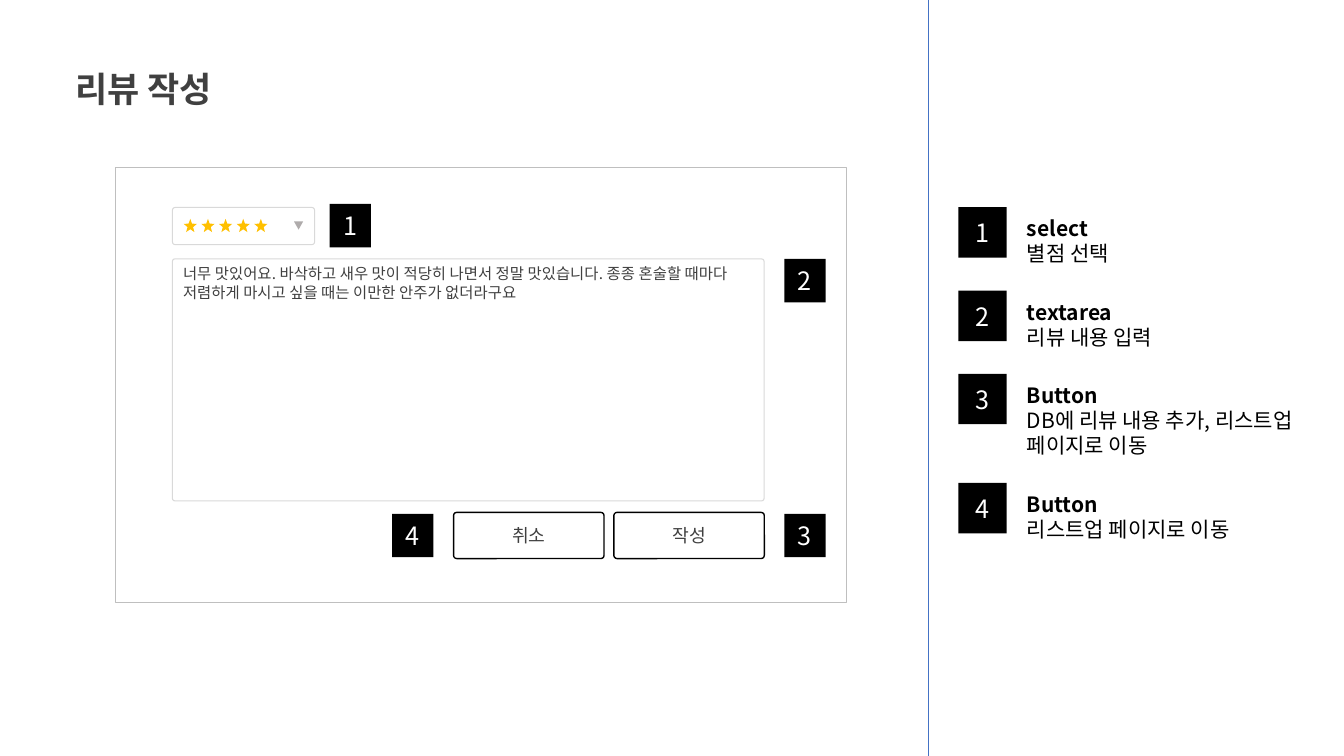
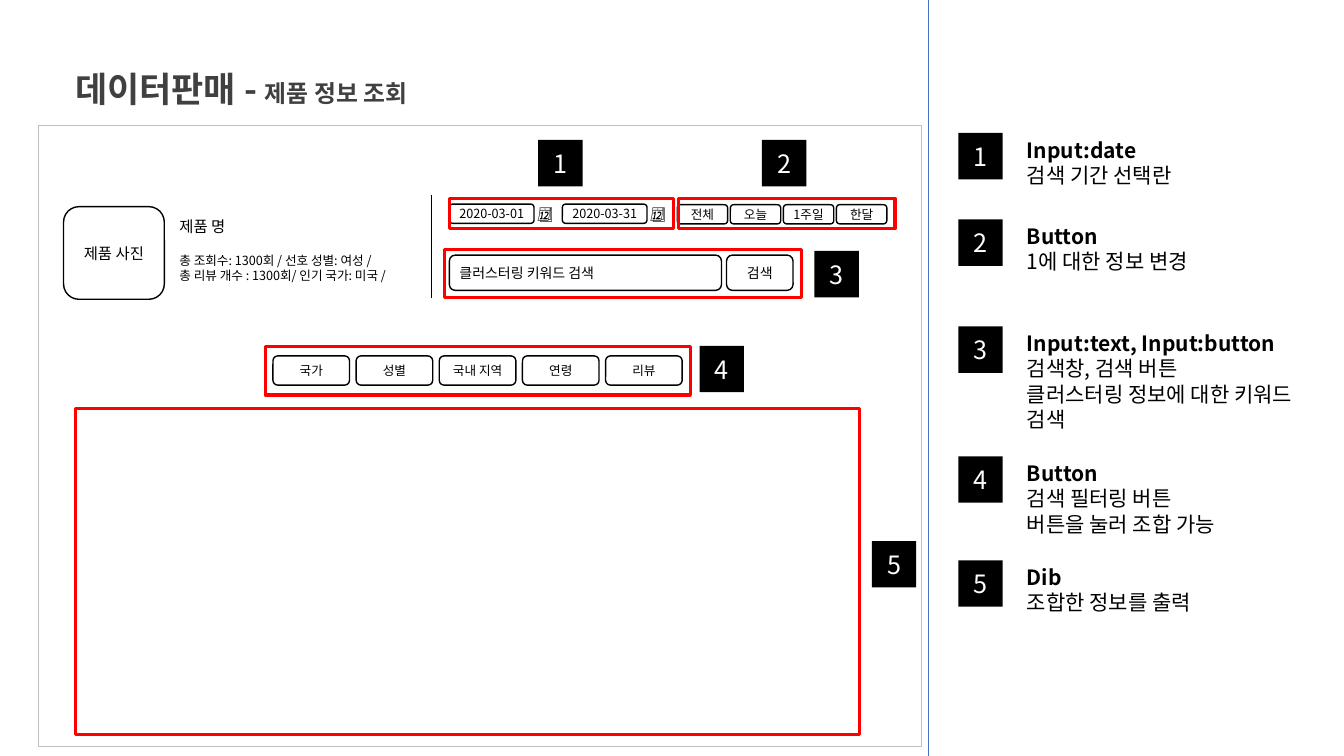
from dataclasses import dataclass
from typing import Optional

from lxml.etree import SubElement
from pptx import Presentation
from pptx.dml.color import RGBColor
from pptx.enum.shapes import MSO_CONNECTOR, MSO_SHAPE
from pptx.enum.text import MSO_ANCHOR, MSO_AUTO_SIZE, PP_ALIGN
from pptx.oxml.ns import qn
from pptx.util import Pt

# Shared look
FONT = "Noto Sans CJK KR"
HUES = {
    "white": "FFFFFF", "black": "000000", "text": "404040", "frame": "BFBFBF",
    "field": "D9D9D9", "star": "FFC000", "arrow": "AFABAB",
    "rule": "4472C4", "mark": "FF0000",
}
WIDTH, HEIGHT = 960, 540
RECT, ROUND = MSO_SHAPE.RECTANGLE, MSO_SHAPE.ROUNDED_RECTANGLE
LEFT, MID = PP_ALIGN.LEFT, PP_ALIGN.CENTER


@dataclass(frozen=True)
class Box:
    x: float
    y: float
    w: float
    h: float

    def args(self) -> list:
        return [Pt(v) for v in (self.x, self.y, self.w, self.h)]


@dataclass(frozen=True)
class Run:
    text: str
    size: float
    hue: str = "black"
    bold: bool = False


@dataclass(frozen=True)
class Look:
    kind: int = RECT
    fill: Optional[str] = None
    line: Optional[str] = None
    wide: float = 1
    bend: Optional[float] = None
    turn: float = 0


@dataclass(frozen=True)
class Note:
    num: int
    y: float
    head: str
    lines: tuple
    w: float = 210


@dataclass(frozen=True)
class Badge:
    num: int
    x: float
    y: float


PANEL = Look(fill="white", line="frame")
FIELD = Look(ROUND, "white", "field", 0.75, 0.07)
AREA = Look(ROUND, "white", "field", 0.75, 0.01)
BUTTON = Look(ROUND, "white", "black", 1, 0.07)
PILL = Look(ROUND, line="black")
MARK = Look(line="mark", wide=2.25)
STAR = Look(MSO_SHAPE.STAR_5_POINT, "star", bend=0.21)
ARROW = Look(MSO_SHAPE.ISOSCELES_TRIANGLE, "arrow", turn=180)
BLOCK = Look(fill="black")


def color(name: str) -> RGBColor:
    return RGBColor.from_string(HUES[name])


def write(frame, rows: list, form: dict) -> None:
    """Fill a text frame; each row is a list of runs."""
    form = {"word_wrap": True, **form}
    side = form.pop("align", LEFT)
    for key, val in form.items():
        setattr(frame, key, val)
    for i, row in enumerate(rows):
        para = frame.add_paragraph() if i else frame.paragraphs[0]
        para.alignment = side
        for item in row:
            run = para.add_run()
            run.text = item.text
            run.font.color.rgb = color(item.hue)
            face = {"size": Pt(item.size), "bold": item.bold, "name": FONT}
            for key, val in face.items():
                setattr(run.font, key, val)
            # East Asian typeface
            SubElement(run.font._element, qn("a:ea"), typeface=FONT)


def draw(slide, box: Box, look: Look, rows: Optional[list] = None, **form):
    shape = slide.shapes.add_shape(look.kind, *box.args())
    shape.shadow.inherit = False
    shape.rotation = look.turn
    if look.fill:
        shape.fill.solid()
        shape.fill.fore_color.rgb = color(look.fill)
    else:
        shape.fill.background()
    if look.line:
        shape.line.color.rgb = color(look.line)
        shape.line.width = Pt(look.wide)
    else:
        shape.line.fill.background()
    if look.bend is not None:
        shape.adjustments[0] = look.bend
    if rows:
        base = {"align": MID, "vertical_anchor": MSO_ANCHOR.MIDDLE}
        write(shape.text_frame, rows, {**base, **form})


def label(slide, box: Box, rows: list, **form) -> None:
    frame = slide.shapes.add_textbox(*box.args()).text_frame
    write(frame, rows, {"auto_size": MSO_AUTO_SIZE.SHAPE_TO_FIT_TEXT, **form})


def rule(slide, x: float, top: float, end: float, hue: str, wide: float) -> None:
    line = slide.shapes.add_connector(
        MSO_CONNECTOR.STRAIGHT, Pt(x), Pt(top), Pt(x), Pt(end))
    line.line.color.rgb = color(hue)
    line.line.width = Pt(wide)
    SubElement(line._element.spPr, qn("a:effectLst"))


def pill(slide, box: Box, text: str, size: float, align=MID, pad: float = 0) -> None:
    draw(slide, box, PILL, [[Run(text, size)]], align=align,
         margin_left=Pt(pad), margin_right=0, margin_top=0, margin_bottom=0)


def badge(slide, num: int, box: Box) -> None:
    draw(slide, box, BLOCK, [[Run(str(num), 18, "white")]])


def tag(slide, marks: list, w: float, h: float) -> None:
    for mark in marks:
        badge(slide, mark.num, Box(mark.x, mark.y, w, h))


def legend(slide, notes: list, w: float, h: float, drop: float) -> None:
    for note in notes:
        badge(slide, note.num, Box(684.5, note.y, w, h))
        rows = [[Run(note.head, 15, bold=True)]]
        rows += [[Run(text, 15)] for text in note.lines]
        label(slide, Box(726.5, note.y + drop, note.w, 25 + 18 * len(note.lines)), rows)


def start(deck, panel: Box, title: list, w: float):
    """Add a page with its panel, title and side rule."""
    slide = deck.slides.add_slide(deck.slide_layouts[6])
    draw(slide, panel, PANEL)
    label(slide, Box(46.8, 44.5, w, 37.5), [title], word_wrap=False)
    rule(slide, 663, 0, HEIGHT, "rule", 0.5)
    return slide


def review(deck) -> None:
    slide = start(deck, Box(82.5, 119.5, 522, 311),
                  [Run("리뷰 작성", 25, "text", True)], 124.5)

    # Review form
    text = ("너무 맛있어요. 바삭하고 새우 맛이 적당히 나면서 정말 맛있습니다. "
            "종종 혼술할 때마다 저렴하게 마시고 싶을 때는 이만한 안주가 없더라구요")
    draw(slide, Box(123.2, 185, 422.6, 172.8), AREA, [[Run(text, 11, "text")]],
         align=LEFT, vertical_anchor=MSO_ANCHOR.TOP)
    for x, name in ((324, "취소"), (438.5, "작성")):
        draw(slide, Box(x, 366, 107.5, 33), BUTTON, [[Run(name, 13, "text")]])

    # Star rating
    draw(slide, Box(123.2, 148.2, 101.5, 26.5), FIELD)
    for i in range(5):
        draw(slide, Box(131.2 + 12.6 * i, 156.3, 9.5, 9.5), STAR)
    draw(slide, Box(210, 158.2, 6.5, 5.8), ARROW)

    # Numbers and notes
    tag(slide, [Badge(1, 235.5, 145.7), Badge(2, 560.2, 185),
                Badge(3, 560.2, 367), Badge(4, 280, 367)], 29.5, 31)
    legend(slide, [
        Note(1, 148, "select", ("별점 선택",)),
        Note(2, 207.7, "textarea", ("리뷰 내용 입력",)),
        Note(3, 267, "Button", ("DB에 리뷰 내용 추가, 리스트업 페이지로 이동",)),
        Note(4, 345, "Button", ("리스트업 페이지로 이동",)),
    ], 34.5, 36, 2.4)


def data(deck) -> None:
    slide = start(deck, Box(27.4, 89.7, 630.7, 443.5),
                  [Run("데이터판매 - ", 25, "text", True),
                   Run("제품 정보 조회", 17, "text", True)], 286.5)

    # Product facts
    pill(slide, Box(45.4, 147.6, 72, 66.2), "제품 사진", 11)
    label(slide, Box(121, 151.2, 63.4, 20.9), [[Run("제품 명", 11)]])
    facts = ("총 조회수: 1300회 / 선호 성별: 여성 /",
             "총 리뷰 개수 : 1300회/ 인기 국가: 미국 /")
    label(slide, Box(121, 177, 181.4, 28.8), [[Run(text, 9)] for text in facts])
    rule(slide, 308.2, 139, 213, "black", 1)

    # Dates and periods
    for x, day in ((321, "2020-03-01"), (401.7, "2020-03-31")):
        pill(slide, Box(x, 145.8, 60.5, 13.7), day, 9)
        label(slide, Box(x + 55.5, 142.3, 63.4, 20.9), [[Run("📆", 11)]])
    for i, name in enumerate(("전체", "오늘", "1주일", "한달")):
        pill(slide, Box(483.8 + 37.9 * i, 146.2, 36, 13.7), name, 9)

    # Search row
    pill(slide, Box(321, 182.2, 194.4, 25.2), "클러스터링 키워드 검색", 10, LEFT, 6)
    pill(slide, Box(519, 182.2, 47.5, 25.2), "검색", 10)

    # Filters
    for i, name in enumerate(("국가", "성별", "국내 지역", "연령", "리뷰")):
        pill(slide, Box(195 + 59.4 * i, 254.2, 54.7, 20.9), name, 9)

    # Red outlines
    for box in (Box(321, 141.8, 160, 21.6), Box(484.5, 141.8, 154.8, 21.6),
                Box(317.5, 178, 255, 34.5), Box(189.4, 247.7, 303.8, 34.5),
                Box(54, 291.6, 560, 233.3)):
        draw(slide, box, MARK)

    # Numbers and notes
    tag(slide, [Badge(1, 384.5, 100), Badge(2, 544.3, 100), Badge(3, 581.8, 179.3),
                Badge(4, 499.7, 247), Badge(5, 622.8, 386.6)], 31.7, 33.1)
    legend(slide, [
        Note(1, 95, "Input:date", ("검색 기간 선택란",)),
        Note(2, 156.8, "Button", ("1에 대한 정보 변경",)),
        Note(3, 233.2, "Input:text, Input:button",
             ("검색창, 검색 버튼", "클러스터링 정보에 대한 키워드 검색")),
        Note(4, 326, "Button", ("검색 필터링 버튼", "버튼을 눌러 조합 가능"), 217.4),
        Note(5, 400.3, "Dib", ("조합한 정보를 출력",), 217.4),
    ], 31.7, 33.1, -0.5)


def main() -> None:
    deck = Presentation()
    deck.slide_width, deck.slide_height = Pt(WIDTH), Pt(HEIGHT)
    review(deck)
    data(deck)
    deck.save("out.pptx")


if __name__ == "__main__":
    main()
